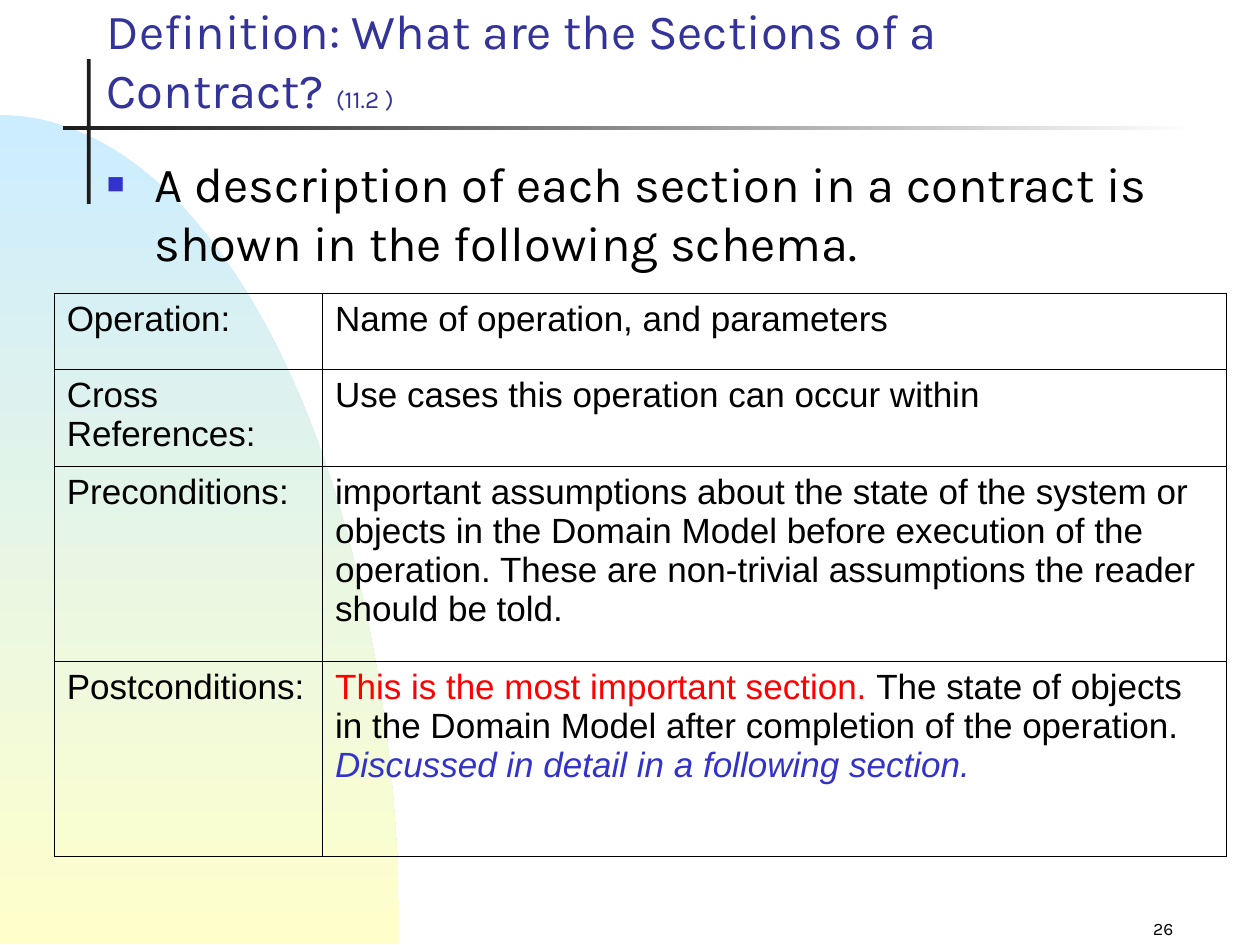
import math
from lxml import etree
from pptx import Presentation
from pptx.dml.color import RGBColor
from pptx.enum import shapes, text
from pptx.oxml import ns
from pptx.util import Inches, Pt

COLORS = {
    "title": "333399", "accent": "3333CC", "ink": "000000", "alert": "FF0000",
    "bar": "1C1C1C", "white": "FFFFFF", "sky": "CCECFF", "cream": "FFFFCC",
}

presentation = Presentation()
presentation.slide_width, presentation.slide_height = Inches(10), Inches(7.5)
slide = presentation.slides.add_slide(presentation.slide_layouts[6])


def share(*lengths):
    """Turn percentages, alternating across and down the slide, into lengths."""
    sides = (presentation.slide_width, presentation.slide_height)
    return [round(sides[i % 2] * length / 100) for i, length in enumerate(lengths)]


def write(frame, runs, size=20, font="Arial", anchor="top", align="left"):
    """Fill a text frame with one paragraph of (text, colour, options) runs."""
    frame.word_wrap = True
    frame.vertical_anchor = getattr(text.MSO_ANCHOR, anchor.upper())
    paragraph = frame.paragraphs[0]
    paragraph.alignment = getattr(text.PP_ALIGN, align.upper())
    for words, color, options in runs:
        run = paragraph.add_run()
        run.text = words
        run.font.name = font
        run.font.size = Pt(options.get("size", size))
        run.font.italic = options.get("italic")
        run.font.color.rgb = RGBColor.from_string(COLORS[color])
    return paragraph


# Background quarter ellipse, centred on the bottom left corner
radius_x, radius_y = share(31.7, 87.73)
center_y = share(0, 99.9)[1]
steps = 90
arc = [(radius_x * math.sin(math.pi / 2 * i / steps),
        center_y - radius_y * math.cos(math.pi / 2 * i / steps))
       for i in range(steps + 1)]
builder = slide.shapes.build_freeform(*arc[0])
builder.add_line_segments(arc[1:] + [(0, center_y)], close=True)
ellipse = builder.convert_to_shape()

# Crossing bars beside and below the title
rectangle = shapes.MSO_SHAPE.RECTANGLE
upright = slide.shapes.add_shape(rectangle, *share(6.9, 6.27, 0.3, 15.33))
rule = slide.shapes.add_shape(rectangle, *share(5, 13.33, 90, 0.4))
upright.fill.solid()
upright.fill.fore_color.rgb = RGBColor.from_string(COLORS["bar"])
for shape, angle, ends in ((ellipse, 270, ("sky", "cream")), (rule, 0, ("bar", "white"))):
    shape.fill.gradient()
    shape.fill.gradient_angle = angle
    for stop, position, color in zip(shape.fill.gradient_stops, (0, 1), ends):
        stop.position = position
        stop.color.rgb = RGBColor.from_string(COLORS[color])
for shape in (ellipse, upright, rule):
    shape.line.fill.background()
    shape.shadow.inherit = False

# Title
title = slide.shapes.add_textbox(*share(7.5, 3.2, 70.8, 10))
write(title.text_frame,
      [("Definition: What are the Sections of a Contract? ", "title", {}),
       ("(11.2 )", "title", {"size": 14})],
      size=28, font="Karla", anchor="bottom")

# Bulleted statement
body = slide.shapes.add_textbox(*share(7.5, 15.6, 88.3, 17.6))
paragraph = write(
    body.text_frame,
    [("A description of each section in a contract is shown in the following schema.", "ink", {})],
    size=28, font="Karla")
paragraph.space_before = Pt(7)
properties = paragraph._p.get_or_add_pPr()
properties.set("marL", str(Inches(0.38)))
properties.set("indent", str(-Inches(0.38)))
bullet_color = etree.SubElement(properties, ns.qn("a:buClr"))
etree.SubElement(bullet_color, ns.qn("a:srgbClr"), val=COLORS["accent"])
etree.SubElement(properties, ns.qn("a:buSzPct"), val="60000")
etree.SubElement(properties, ns.qn("a:buFont"), typeface="Arial")
etree.SubElement(properties, ns.qn("a:buChar"), char="■")

# Contract schema table
sections = [
    ("Operation:", [("Name of operation, and parameters", "ink", {})]),
    ("Cross References:", [("Use cases this operation can occur within", "ink", {})]),
    ("Preconditions:", [
        ("important assumptions about the state of the system or objects in the Domain Model "
         "before execution of the operation. These are non-trivial assumptions the reader "
         "should be told.", "ink", {})]),
    ("Postconditions:", [
        ("This is the most important section.", "alert", {}),
        (" The state of objects in the Domain Model after completion of the operation. ", "ink", {}),
        ("Discussed in detail in a following section.", "accent", {"italic": True})]),
]
table = slide.shapes.add_table(len(sections), 2, *share(4.3, 31.07, 93, 59.6)).table
table.first_row = table.horz_banding = False
for column, width in zip(table.columns, (21.3, 71.7)):
    column.width = share(width)[0]
for row, height in zip(table.rows, (8, 10.27, 20.67, 20.67)):
    row.height = share(0, height)[1]
for row, (name, description) in zip(table.rows, sections):
    for cell, runs in zip(row.cells, ([(name, "ink", {})], description)):
        write(cell.text_frame, runs)
        cell_properties = cell._tc.get_or_add_tcPr()
        for side in ("lnL", "lnR", "lnT", "lnB"):
            border = etree.SubElement(cell_properties, ns.qn("a:" + side), w=str(Pt(0.45)))
            fill = etree.SubElement(border, ns.qn("a:solidFill"))
            etree.SubElement(fill, ns.qn("a:srgbClr"), val=COLORS["ink"])
        cell.fill.background()

# Slide number
number = slide.shapes.add_textbox(*share(73.3, 95.6, 20.8, 4.4))
write(number.text_frame, [("26", "ink", {})],
      size=10, font="Karla", anchor="bottom", align="right")

presentation.save("out.pptx")
